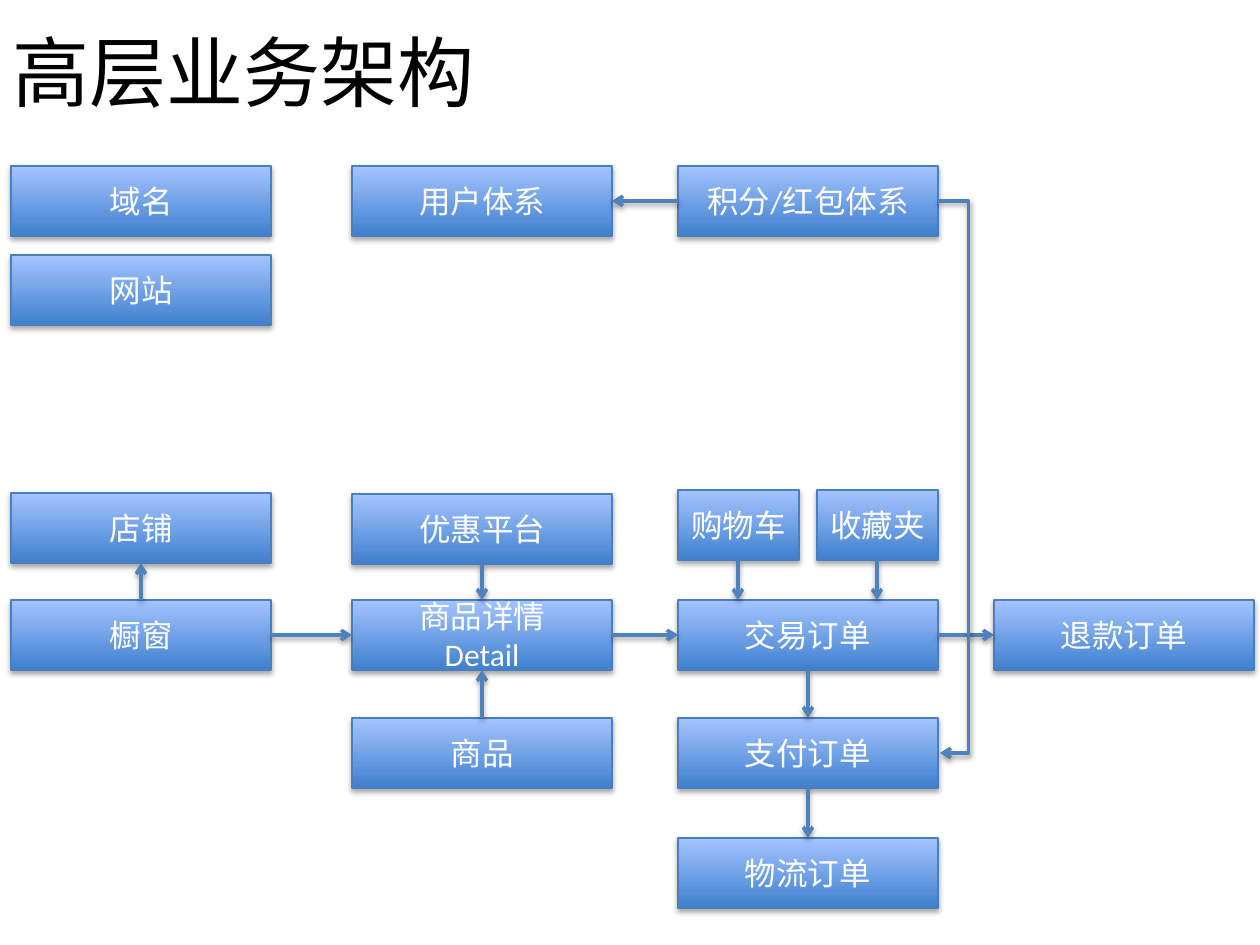
from dataclasses import dataclass

from lxml import etree
from pptx import Presentation
from pptx.dml.color import RGBColor
from pptx.enum.shapes import MSO_CONNECTOR, MSO_SHAPE
from pptx.enum.text import MSO_ANCHOR, PP_ALIGN
from pptx.oxml.ns import qn
from pptx.util import Emu, Pt

RECT = MSO_SHAPE.RECTANGLE
STRAIGHT, ELBOW = MSO_CONNECTOR.STRAIGHT, MSO_CONNECTOR.ELBOW
LEFT, CENTER = PP_ALIGN.LEFT, PP_ALIGN.CENTER
MIDDLE = MSO_ANCHOR.MIDDLE

SCALE = 914400 // 126
FONT = "Calibri"
WIDE, SLIM, HIGH = 260, 121, 70
COLS = (11, 352, 678, 994)
MIDS = tuple(col + WIDE // 2 for col in COLS)
ENDS = tuple(col + WIDE for col in COLS)
USER, SITE, SHOP, TRADE, PAY, SHIP = 166, 255, 493, 600, 718, 838
DEAL, CART = 494, 490
FAV = ENDS[2] - SLIM
TURN = 969


@dataclass(frozen=True)
class Box:
    """A labelled block; each line of text is a paragraph."""
    text: str
    left: int
    top: int
    width: int = WIDE


@dataclass(frozen=True)
class Arrow:
    """A link with its head at the end point; turn is the x of a bend."""
    x1: int
    y1: int
    x2: int
    y2: int
    turn: int | None = None


BOXES = (
    Box("域名", COLS[0], USER),
    Box("网站", COLS[0], SITE),
    Box("用户体系", COLS[1], USER),
    Box("积分/红包体系", COLS[2], USER),
    Box("店铺", COLS[0], SHOP),
    Box("优惠平台", COLS[1], DEAL),
    Box("购物车", COLS[2], CART, SLIM),
    Box("收藏夹", FAV, CART, SLIM),
    Box("橱窗", COLS[0], TRADE),
    Box("商品详情\nDetail", COLS[1], TRADE),
    Box("交易订单", COLS[2], TRADE),
    Box("退款订单", COLS[3], TRADE),
    Box("商品", COLS[1], PAY),
    Box("支付订单", COLS[2], PAY),
    Box("物流订单", COLS[2], SHIP),
)


def across(start: int, end: int, top: int) -> Arrow:
    """Link two columns along the middle of a row."""
    mid = top + HIGH // 2
    return Arrow(start, mid, end, mid)


def upright(x: int, start: int, end: int) -> Arrow:
    """Link two rows straight up or down."""
    return Arrow(x, start, x, end)


ARROWS = (
    *(across(ENDS[i], COLS[i + 1], TRADE) for i in range(3)),
    across(COLS[2], ENDS[1], USER),
    upright(MIDS[0], TRADE, SHOP + HIGH),
    upright(MIDS[1], DEAL + HIGH, TRADE),
    upright(MIDS[1], PAY, TRADE + HIGH),
    upright(COLS[2] + SLIM // 2, CART + HIGH, TRADE),
    upright(FAV + SLIM // 2, CART + HIGH, TRADE),
    upright(MIDS[2], TRADE + HIGH, PAY),
    upright(MIDS[2], PAY + HIGH, SHIP),
    Arrow(ENDS[2], USER + HIGH // 2, ENDS[2] + 2, PAY + HIGH // 2, TURN),
)


def px(size: int) -> Emu:
    """Turn pixels into EMU."""
    return Emu(size * SCALE)


def rgb(code: str) -> RGBColor:
    """Turn a hex string into a colour."""
    return RGBColor.from_string(code)


def add_shade(shape, dist: int, alpha: int) -> None:
    """Give a shape a soft shadow that falls straight down."""
    props = shape._element.spPr
    effects = props.find(qn("a:effectLst"))
    if effects is None:
        effects = etree.SubElement(props, qn("a:effectLst"))
    shade = etree.SubElement(effects, qn("a:outerShdw"), blurRad="40000",
                             dist=str(dist), dir="5400000", rotWithShape="0")
    tint = etree.SubElement(shade, qn("a:srgbClr"), val="000000")
    etree.SubElement(tint, qn("a:alpha"), val=str(alpha * 1000))


def add_text(shape, text: str, size: int, color: str, align) -> None:
    """Write one paragraph for each line of text."""
    frame = shape.text_frame
    frame.word_wrap = True
    frame.vertical_anchor = MIDDLE
    for i, line in enumerate(text.split("\n")):
        para = frame.add_paragraph() if i else frame.paragraphs[0]
        para.alignment = align
        run = para.add_run()
        run.text = line
        run.font.name = FONT
        run.font.size = Pt(size)
        run.font.color.rgb = rgb(color)


def add_box(slide, box: Box) -> None:
    """Draw a block with a gradient and its label."""
    shape = slide.shapes.add_shape(RECT, px(box.left), px(box.top),
                                   px(box.width), px(HIGH))
    shape.fill.gradient()
    shape.fill.gradient_angle = 90
    for stop, code in zip(shape.fill.gradient_stops, ("3F80CE", "A4C4FF")):
        stop.color.rgb = rgb(code)
    shape.line.color.rgb = rgb("4B7EBC")
    shape.line.width = Pt(0.75)
    shape.shadow.inherit = False
    add_shade(shape, 23000, 35)
    add_text(shape, box.text, 18, "FFFFFF", CENTER)


def add_arrow(slide, arrow: Arrow) -> None:
    """Draw a link with an open head."""
    kind = STRAIGHT if arrow.turn is None else ELBOW
    link = slide.shapes.add_connector(kind, px(arrow.x1), px(arrow.y1),
                                      px(arrow.x2), px(arrow.y2))
    link.line.color.rgb = rgb("4F81BD")
    link.line.width = Pt(2)
    props = link._element.spPr
    etree.SubElement(props.find(qn("a:ln")), qn("a:tailEnd"), type="arrow")
    if arrow.turn is not None:
        ratio = (arrow.turn - arrow.x1) * 100000 // (arrow.x2 - arrow.x1)
        guides = props.find(qn("a:prstGeom")).get_or_add_avLst()
        etree.SubElement(guides, qn("a:gd"), name="adj1", fmla=f"val {ratio}")
    add_shade(link, 20000, 38)


def main() -> None:
    """Build the slide and save it."""
    deck = Presentation()
    deck.slide_width, deck.slide_height = px(1260), px(945)
    slide = deck.slides.add_slide(deck.slide_layouts[6])
    title = slide.shapes.add_textbox(0, 0, px(1260), px(142))
    add_text(title, "高层业务架构", 44, "000000", LEFT)
    for box in BOXES:
        add_box(slide, box)
    for arrow in ARROWS:
        add_arrow(slide, arrow)
    deck.save("out.pptx")


main()
